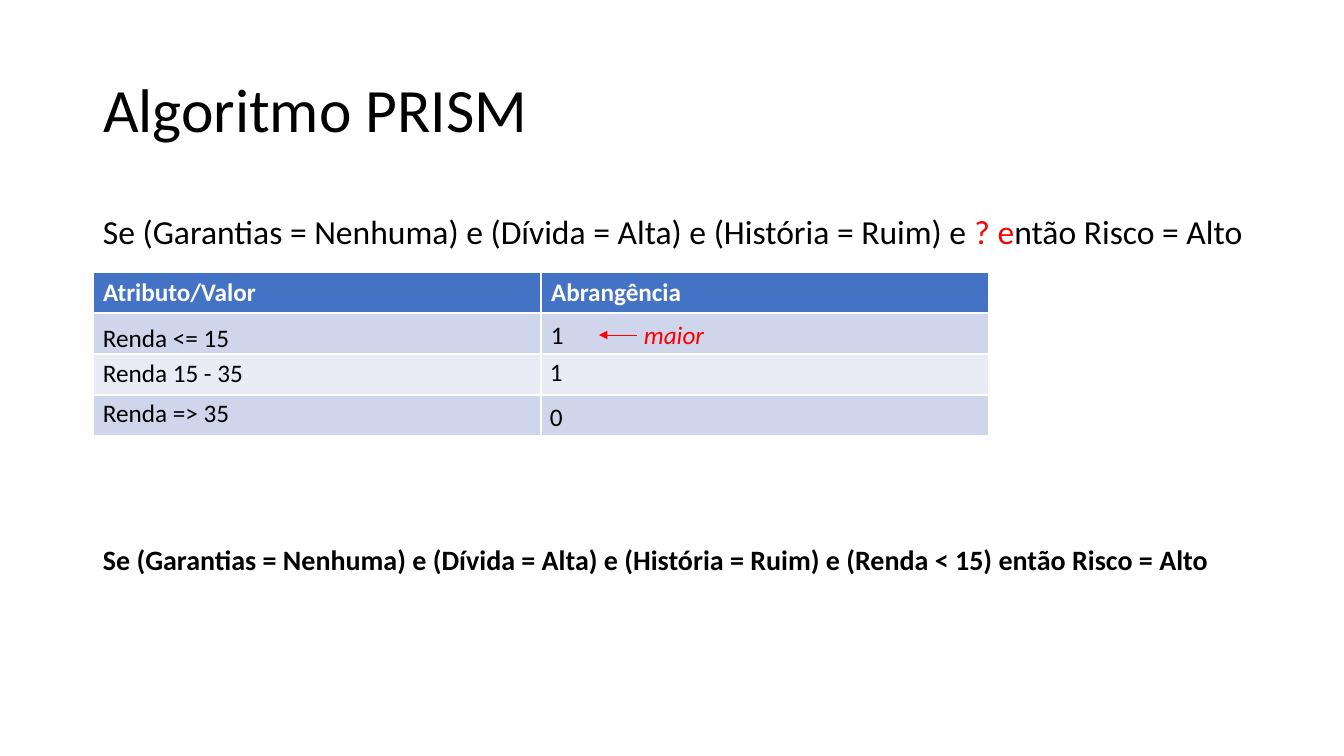
import pptx
import pptx.util
import pptx.dml.color
import pptx.enum.shapes
import pptx.enum.text
import lxml.etree

COLORS = {
    "black": "000000", "white": "FFFFFF", "red": "FF0000",
    "head": "4472C4", "dark": "CFD5EA", "light": "E9EBF5",
}
FONT = "Calibri"
LEFT = 93


def px(count):
    return pptx.util.Emu(round(count * 914400 / 100.8))


def style(run, size, color="black", bold=False, italic=False):
    font = run.font
    font.name, font.size = FONT, pptx.util.Pt(size)
    font.bold, font.italic = bold, italic
    font.color.rgb = pptx.dml.color.RGBColor.from_string(COLORS[color])


deck = pptx.Presentation()
deck.slide_width, deck.slide_height = px(1344), px(756)
slide = deck.slides.add_slide(deck.slide_layouts[5])
shapes = slide.shapes

# Title
title = shapes.title
title.left, title.top, title.width, title.height = px(LEFT), px(40), px(1159), px(146)
title.text_frame.text = "Algoritmo PRISM"
title.text_frame.vertical_anchor = pptx.enum.text.MSO_ANCHOR.MIDDLE
line = title.text_frame.paragraphs[0]
line.alignment = pptx.enum.text.PP_ALIGN.LEFT
line.line_spacing = 0.9
style(line.runs[0], 44)

# Table: header and three banded rows
table = shapes.add_table(4, 2, px(LEFT), px(272), px(896), px(164)).table
for col, label in enumerate(["Atributo/Valor", "Abrangência"]):
    table.cell(0, col).text_frame.text = label
    style(table.cell(0, col).text_frame.paragraphs[0].runs[0], 18, "white", bold=True)
for row, fill in enumerate(["head", "dark", "light", "dark"]):
    for cell in table.rows[row].cells:
        cell.fill.solid()
        cell.fill.fore_color.rgb = pptx.dml.color.RGBColor.from_string(COLORS[fill])

# Texts: left, top, width, height, wrap, size, bold, italic, parts with colours
RULE = "Se (Garantias = Nenhuma) e (Dívida = Alta) e (História = Ruim) e "
texts = [
    (LEFT, 317, 148, 40, False, 18, False, False, [("Renda <= 15", "black")]),
    (LEFT, 352, 162, 40, False, 18, False, False, [("Renda 15 - 35", "black")]),
    (LEFT, 392, 148, 40, False, 18, False, False, [("Renda => 35", "black")]),
    (541, 314, 33, 40, False, 18, False, False, [("1", "black")]),
    (540, 351, 33, 40, False, 18, False, False, [("1", "black")]),
    (540, 396, 33, 40, False, 18, False, False, [("0", "black")]),
    (634, 314, 85, 40, True, 18, False, True, [("maior", "red")]),
    (LEFT, 206, 1170, 50, False, 24, False, False,
     [(RULE, "black"), ("? e", "red"), ("ntão Risco = Alto", "black")]),
    (LEFT, 538, 1143, 44, True, 20, True, False,
     [(RULE + "(Renda < 15) então Risco = Alto", "black")]),
]
for left, top, width, height, wrap, size, bold, italic, parts in texts:
    frame = shapes.add_textbox(px(left), px(top), px(width), px(height)).text_frame
    frame.word_wrap = wrap
    frame.auto_size = pptx.enum.text.MSO_AUTO_SIZE.SHAPE_TO_FIT_TEXT
    for words, color in parts:
        run = frame.paragraphs[0].add_run()
        run.text = words
        style(run, size, color, bold, italic)

# Arrow from "maior" to the first value
arrow = shapes.add_connector(
    pptx.enum.shapes.MSO_CONNECTOR.STRAIGHT, px(637), px(335), px(599), px(335))
arrow.line.width = pptx.util.Pt(0.5)
arrow.line.color.rgb = pptx.dml.color.RGBColor.from_string(COLORS["red"])
tip = lxml.etree.SubElement(arrow.line._get_or_add_ln(), pptx.oxml.ns.qn("a:tailEnd"))
tip.set("type", "triangle")
lxml.etree.SubElement(arrow._element.spPr, pptx.oxml.ns.qn("a:effectLst"))

deck.save("out.pptx")
